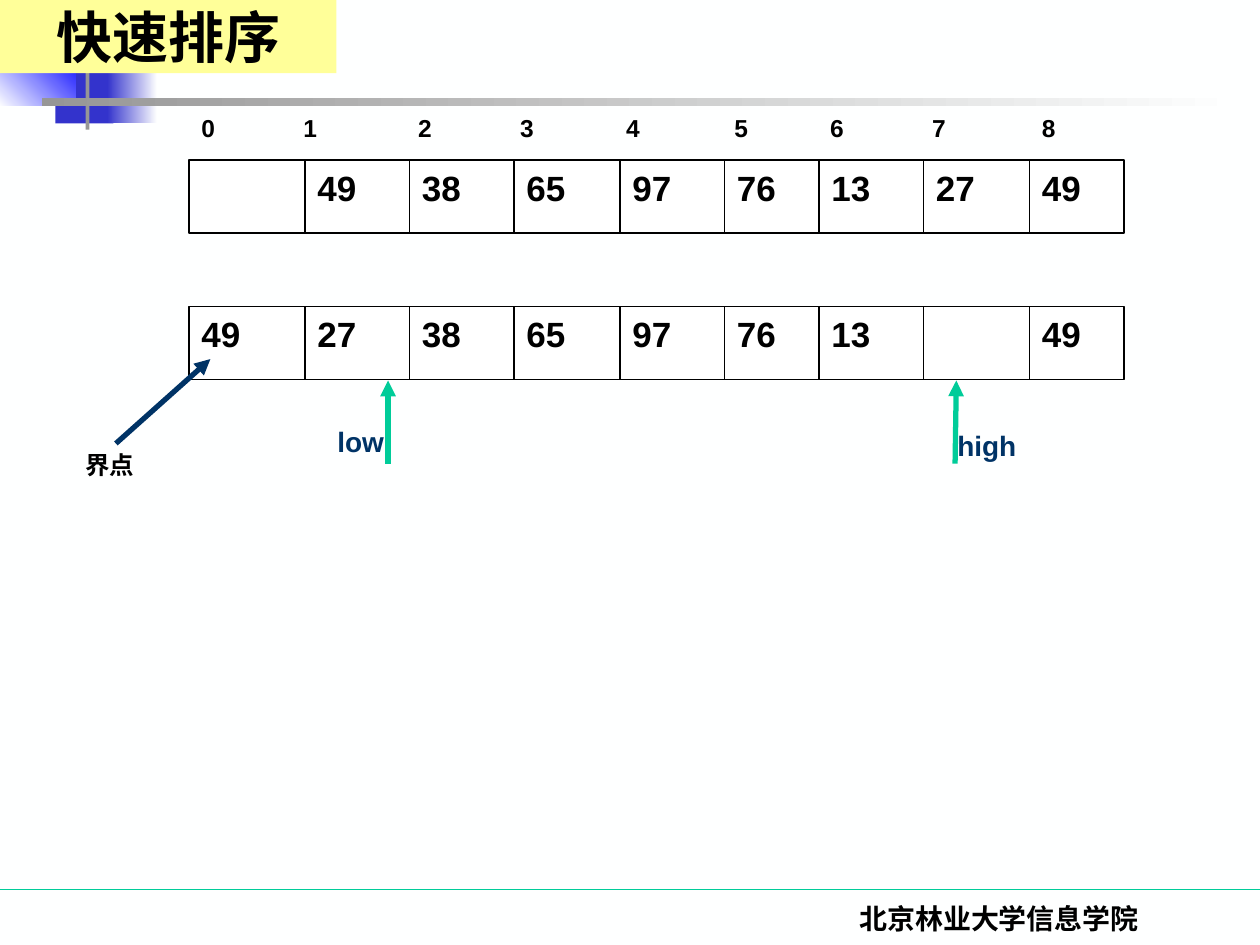
from lxml import etree
from pptx import Presentation
from pptx.dml.color import RGBColor
from pptx.enum.shapes import MSO_CONNECTOR, MSO_SHAPE
from pptx.enum.text import MSO_ANCHOR, MSO_AUTO_SIZE, PP_ALIGN
from pptx.oxml.ns import qn
from pptx.util import Inches, Pt

RECT, STRAIGHT = MSO_SHAPE.RECTANGLE, MSO_CONNECTOR.STRAIGHT
LEFT, CENTER = PP_ALIGN.LEFT, PP_ALIGN.CENTER
MIDDLE = MSO_ANCHOR.MIDDLE
GROW = MSO_AUTO_SIZE.SHAPE_TO_FIT_TEXT
COLORS = {
    "paper": "FEFFFF", "white": "FFFFFF", "black": "000000", "navy": "003366",
    "indigo": "3333CC", "blue": "0000FF", "gray": "969696", "green": "00CC99",
    "yellow": "FFFF99",
}
RGB = {name: RGBColor.from_string(value) for name, value in COLORS.items()}

prs = Presentation()
prs.slide_width, prs.slide_height = Inches(10), Inches(7.5)
slide = prs.slides.add_slide(prs.slide_layouts[6])
slide.background.fill.solid()
slide.background.fill.fore_color.rgb = RGB["paper"]


def add_line(x1, y1, x2, y2, color, width=0.75, arrow=False):
    line = slide.shapes.add_connector(
        STRAIGHT, Inches(x1), Inches(y1), Inches(x2), Inches(y2))
    line.line.color.rgb = RGB[color]
    line.line.width = Pt(width)
    if arrow:
        etree.SubElement(line.line._get_or_add_ln(), qn("a:tailEnd"), type="triangle")
    etree.SubElement(line._element.spPr, qn("a:effectLst"))


def add_text(text, left, top, width, height, size, color="black", font="Arial",
             align=LEFT, fill=None, tabs=()):
    box = slide.shapes.add_textbox(
        Inches(left), Inches(top), Inches(width), Inches(height))
    frame = box.text_frame
    frame.word_wrap = True
    if fill:
        box.fill.solid()
        box.fill.fore_color.rgb = RGB[fill]
        frame.vertical_anchor = MIDDLE
    elif align == LEFT:
        frame.auto_size = GROW
    paragraph = frame.paragraphs[0]
    paragraph.alignment = align
    if tabs:
        tab_list = etree.SubElement(paragraph._p.get_or_add_pPr(), qn("a:tabLst"))
        for stop in tabs:
            etree.SubElement(tab_list, qn("a:tab"), pos=str(Inches(stop)), algn="l")
    run = paragraph.add_run()
    run.text = text
    run.font.name, run.font.size, run.font.bold = font, Pt(size), True
    run.font.color.rgb = RGB[color]


# Footer rule
add_line(0, 7.06, 10, 7.06, "green")

# Corner ornament: place, start colour, end colour of a gradient, angle
ornament = [
    ((0.31, 0, 0.48, 0.52), "navy", None, 0),
    ((0.72, 0, 0.36, 0.52), "navy", "paper", 0),
    ((0.44, 0.46, 0.46, 0.52), "indigo", None, 0),
    ((0.85, 0.46, 0.4, 0.52), "indigo", "paper", 0),
    ((-0.01, 0.38, 0.61, 0.46), "paper", "blue", 45),
    ((0.68, -0.12, 0.03, 1.15), "gray", None, 0),
    ((0.33, 0.78, 9.51, 0.06), "gray", "paper", 0),
]
for place, start, end, angle in ornament:
    block = slide.shapes.add_shape(RECT, *map(Inches, place))
    block.shadow.inherit = False
    block.line.fill.background()
    if end:
        block.fill.gradient()
        block.fill.gradient_angle = angle
        for stop, color in zip(block.fill.gradient_stops, (start, end)):
            stop.color.rgb = RGB[color]
    else:
        block.fill.solid()
        block.fill.fore_color.rgb = RGB[start]

# Footer text
add_text("北京林业大学信息学院", 5.86, 7.11, 4.14, 0.5, 16,
         font="Times New Roman", align=CENTER)

# Array before and after the swap: frame, dividers, values
cell_lefts = [1.5, 2.42, 3.25, 4.08, 4.92, 5.75, 6.5, 7.33, 8.17]
row_width, row_height = 7.42, 0.58
arrays = [
    (1.27, ["", "49", "38", "65", "97", "76", "13", "27", "49"]),
    (2.43, ["49", "27", "38", "65", "97", "76", "13", "", "49"]),
]
for top, values in arrays:
    frame_box = slide.shapes.add_shape(
        RECT, Inches(cell_lefts[0]), Inches(top), Inches(row_width), Inches(row_height))
    frame_box.shadow.inherit = False
    frame_box.fill.solid()
    frame_box.fill.fore_color.rgb = RGB["white"]
    frame_box.line.color.rgb = RGB["black"]
    frame_box.line.width = Pt(0.75)
    for left in cell_lefts[1:]:
        add_line(left, top, left, top + row_height, "black")
    for left, value in zip(cell_lefts, values):
        if value:
            add_text(value, left, top, 0.67, 0.44, 20)

# Index numbers
add_text("\t".join(str(index) for index in range(9)), 1.5, 0.85, row_width, 0.34, 14,
         tabs=[0.81, 1.72, 2.53, 3.37, 4.23, 4.99, 5.8, 6.67])

# Pointers low and high
add_line(7.58, 3.68, 7.59, 3.02, "green", 3, arrow=True)
add_text("high", 7.5, 3.35, 0.92, 0.37, 16, "navy")
add_line(3.08, 3.68, 3.08, 3.02, "green", 3, arrow=True)
add_text("low", 2.58, 3.32, 0.92, 0.37, 16, "navy")

# Pivot
add_text("界点", 0.58, 3.52, 0.83, 0.34, 14)
add_line(0.92, 3.52, 1.67, 2.85, "navy", 3, arrow=True)

# Title
add_text("快速排序", 0, 0, 2.67, 0.58, 32, font="Times New Roman",
         align=CENTER, fill="yellow")

prs.save("out.pptx")
